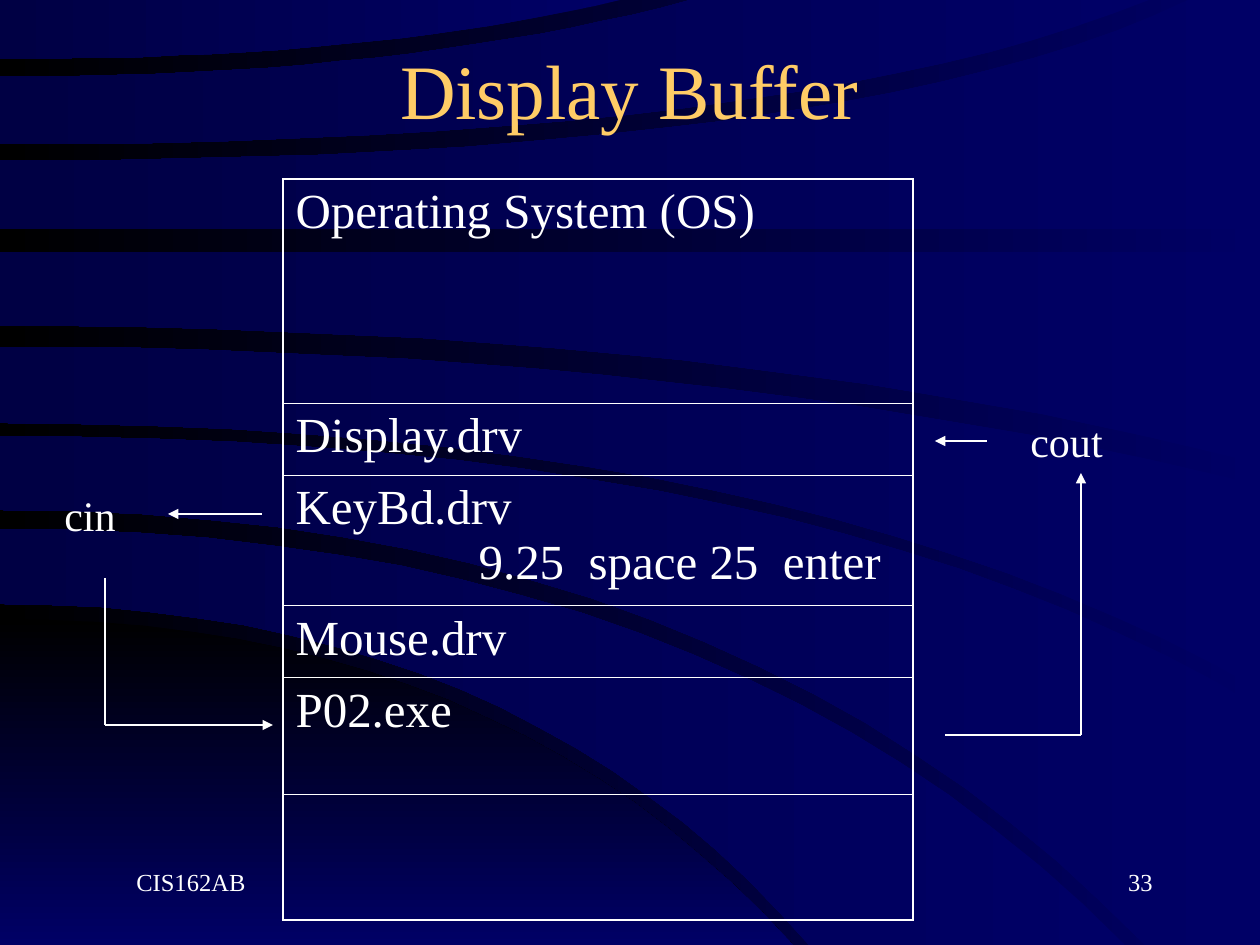
import pptx
import pptx.dml.color
import pptx.enum.shapes
import pptx.enum.text
import pptx.oxml.ns
import pptx.util
from lxml import etree

PX = 914400 / 126
WIDTH, HEIGHT = 1260, 945
FONT = "Times New Roman"
COLORS = {"blue": "000066", "navy": "000044", "black": "000000",
          "gold": "FFCC66", "white": "FFFFFF"}
ALIGN = pptx.enum.text.PP_ALIGN
ANCHOR = pptx.enum.text.MSO_ANCHOR
OUTER, INNER = 1.08, 0.45
STEPS = 20


def arc(start_y, bend_x, end_x, end_y):
    """Points of a quadratic curve leaving the left edge horizontally."""
    steps = [step / STEPS for step in range(STEPS + 1)]
    return [(round(2 * bend_x * t * (1 - t) + end_x * t * t),
             round(start_y + (end_y - start_y) * t * t)) for t in steps]


def between(first, second, corners=()):
    return [*first, *corners, *reversed(second)]


CORNER = [*arc(619, 500, 793, HEIGHT), (0, HEIGHT)]

# Blue areas from bottom to top; the dark background shows between them as arcs.
BANDS = [
    between(arc(529, 715, 1125, HEIGHT), arc(604, 515, 809, HEIGHT)),
    between(arc(436, 815, WIDTH, 708), arc(510, 725, 1145, HEIGHT), [(WIDTH, HEIGHT)]),
    between(arc(347, 700, WIDTH, 485), arc(423, 795, WIDTH, 690)),
    between([(0, 252), (WIDTH, 252)], arc(326, 735, WIDTH, 464)),
    between(arc(161, 855, 1188, 0), [(0, 229), (WIDTH, 229)], [(WIDTH, 0)]),
    between(arc(77, 405, 690, 0), arc(144, 795, 1149, 0)),
    [*arc(59, 375, 620, 0), (0, 0)]]

# Row height, then the lines of the row as (text, indent).
MEMORY_ROWS = [
    (224, [("Operating System (OS)", 0)]),
    (72, [("Display.drv", 0)]),
    (130, [("KeyBd.drv", 0), ("9.25  space 25  enter", 183)]),
    (72, [("Mouse.drv", 0)]),
    (117, [("P02.exe", 0)]),
    (126, [])]


def emu(px):
    return pptx.util.Emu(round(px * PX))


def rgb(name):
    return pptx.dml.color.RGBColor.from_string(COLORS[name])


def add_xml(parent, tag, **attributes):
    return etree.SubElement(parent, pptx.oxml.ns.qn(tag), attributes)


class SlideBuilder:
    def __init__(self, slide):
        self.slide = slide

    def gradient(self, fill, start, end, angle=180):
        fill.gradient()
        fill.gradient_angle = angle
        for stop, color in zip(fill.gradient_stops, (start, end)):
            stop.color.rgb = rgb(color)

    def area(self, points, start, end, angle=180):
        builder = self.slide.shapes.build_freeform(*points[0], scale=PX)
        builder.add_line_segments(points[1:], close=True)
        shape = builder.convert_to_shape()
        shape.shadow.inherit = False
        shape.line.fill.background()
        self.gradient(shape.fill, start, end, angle)

    def run(self, paragraph, text, size, color="white", indent=0):
        run = paragraph.add_run()
        run.text = text
        run.font.name = FONT
        run.font.size = pptx.util.Pt(size)
        run.font.color.rgb = rgb(color)
        if indent:
            properties = paragraph._p.get_or_add_pPr()
            properties.set("marL", str(emu(indent)))
            properties.set("indent", "0")

    def text(self, text, left, top, width, height, size, color="white",
             align=ALIGN.LEFT, anchor=ANCHOR.TOP, indent=0):
        box = self.slide.shapes.add_textbox(*map(emu, (left, top, width, height)))
        frame = box.text_frame
        frame.word_wrap = True
        frame.vertical_anchor = anchor
        paragraph = frame.paragraphs[0]
        paragraph.alignment = align
        self.run(paragraph, text, size, color, indent)

    def line(self, x1, y1, x2, y2, arrow=False):
        connector = self.slide.shapes.add_connector(
            pptx.enum.shapes.MSO_CONNECTOR.STRAIGHT, *map(emu, (x1, y1, x2, y2)))
        connector.line.color.rgb = rgb("white")
        connector.line.width = pptx.util.Pt(0.75)
        if arrow:
            add_xml(connector.line._get_or_add_ln(), "a:tailEnd", type="triangle")
        add_xml(connector._element.spPr, "a:effectLst")

    def borders(self, cell, top, bottom):
        properties = cell._tc.get_or_add_tcPr()
        for side, width in zip("LRTB", (OUTER, OUTER, top, bottom)):
            border = add_xml(properties, f"a:ln{side}", w=str(pptx.util.Pt(width)))
            add_xml(add_xml(border, "a:solidFill"), "a:srgbClr", val=COLORS["white"])

    def table(self, rows, left, top, width, size):
        """Draw a one-column table with outlined, unfilled rows."""
        height = sum(row_height for row_height, _ in rows)
        table = self.slide.shapes.add_table(
            len(rows), 1, *map(emu, (left, top, width, height))).table
        table.first_row = table.horz_banding = False
        last = len(rows) - 1
        for index, (row_height, lines) in enumerate(rows):
            table.rows[index].height = emu(row_height)
            cell = table.cell(index, 0)
            self.borders(cell, OUTER if index == 0 else INNER,
                         OUTER if index == last else INNER)
            cell.fill.background()
            frame = cell.text_frame
            for number, (text, indent) in enumerate(lines):
                paragraph = frame.add_paragraph() if number else frame.paragraphs[0]
                self.run(paragraph, text, size, indent=indent)


def main():
    presentation = pptx.Presentation()
    presentation.slide_width, presentation.slide_height = emu(WIDTH), emu(HEIGHT)
    slide = presentation.slides.add_slide(presentation.slide_layouts[6])
    builder = SlideBuilder(slide)

    builder.gradient(slide.background.fill, "blue", "black")
    builder.area(CORNER, "black", "blue", angle=270)
    for band in BANDS:
        builder.area(band, "blue", "navy")

    builder.text("Display Buffer", 94, 21, 1071, 136, 44, "gold",
                 ALIGN.CENTER, ANCHOR.MIDDLE)
    builder.table(MEMORY_ROWS, 283, 179, 630, 28)

    builder.text("cin", 52, 483, 136, 63, 24)
    builder.line(262, 514, 168, 514, arrow=True)
    builder.line(105, 578, 105, 725)
    builder.line(105, 725, 273, 725, arrow=True)

    builder.text("cout", 1018, 409, 136, 63, 24)
    builder.line(987, 441, 935, 441, arrow=True)
    builder.line(945, 735, 1081, 735)
    builder.line(1081, 735, 1081, 473, arrow=True)

    builder.text("33", 903, 861, 262, 63, 14, align=ALIGN.RIGHT, indent=30)
    builder.text("CIS162AB", 94, 861, 262, 63, 14, indent=30)
    presentation.save("out.pptx")


if __name__ == "__main__":
    main()
